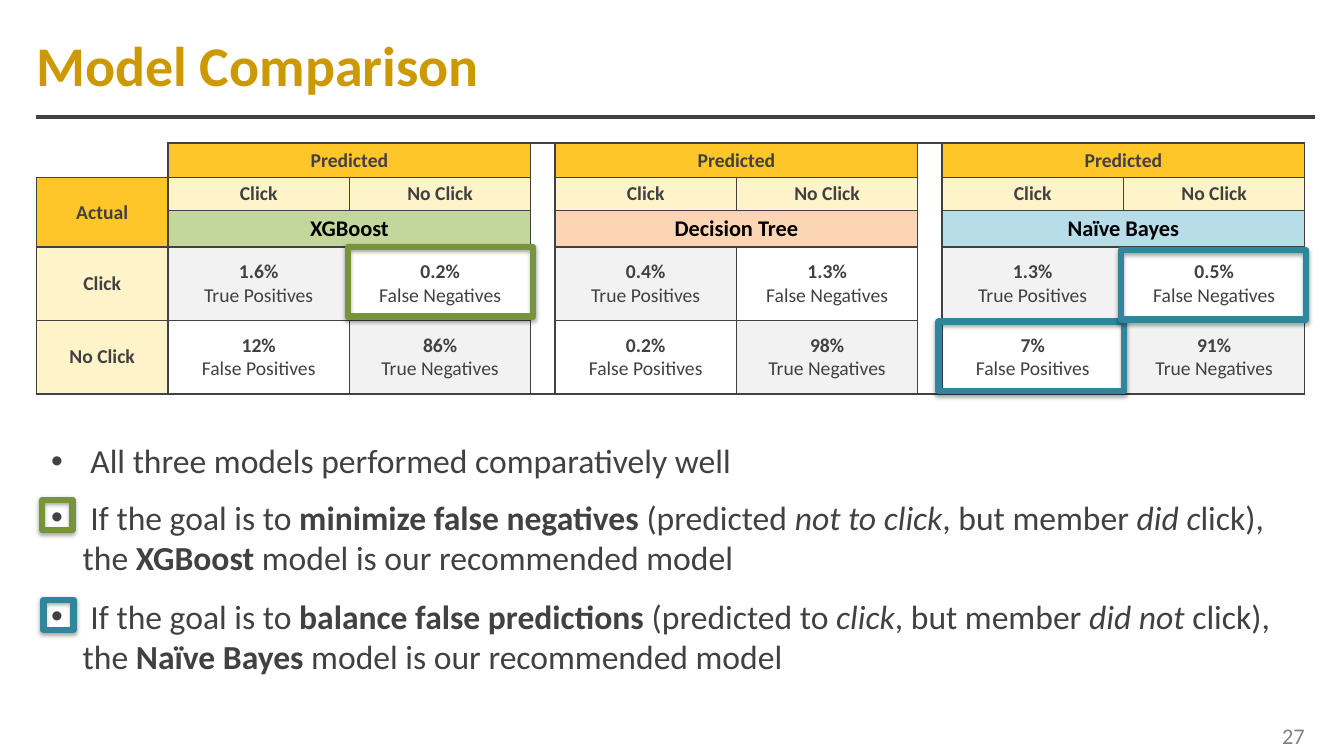
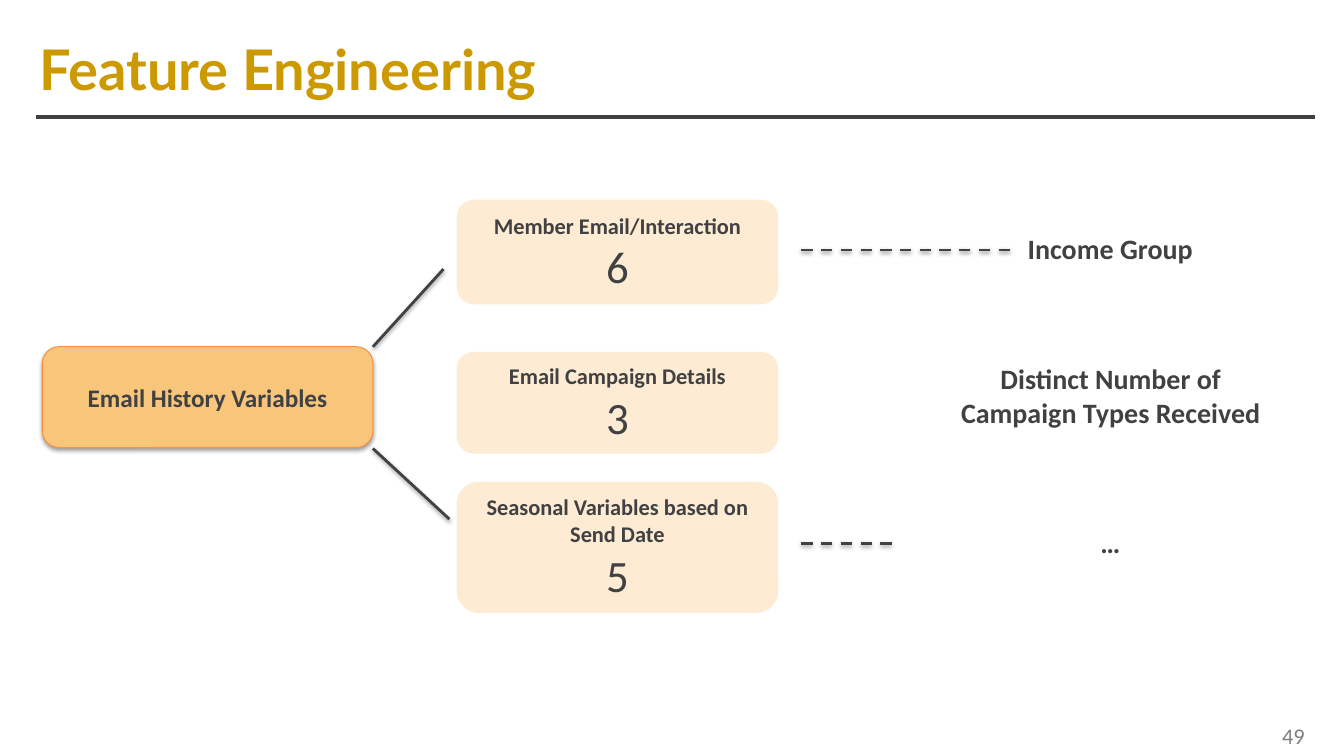
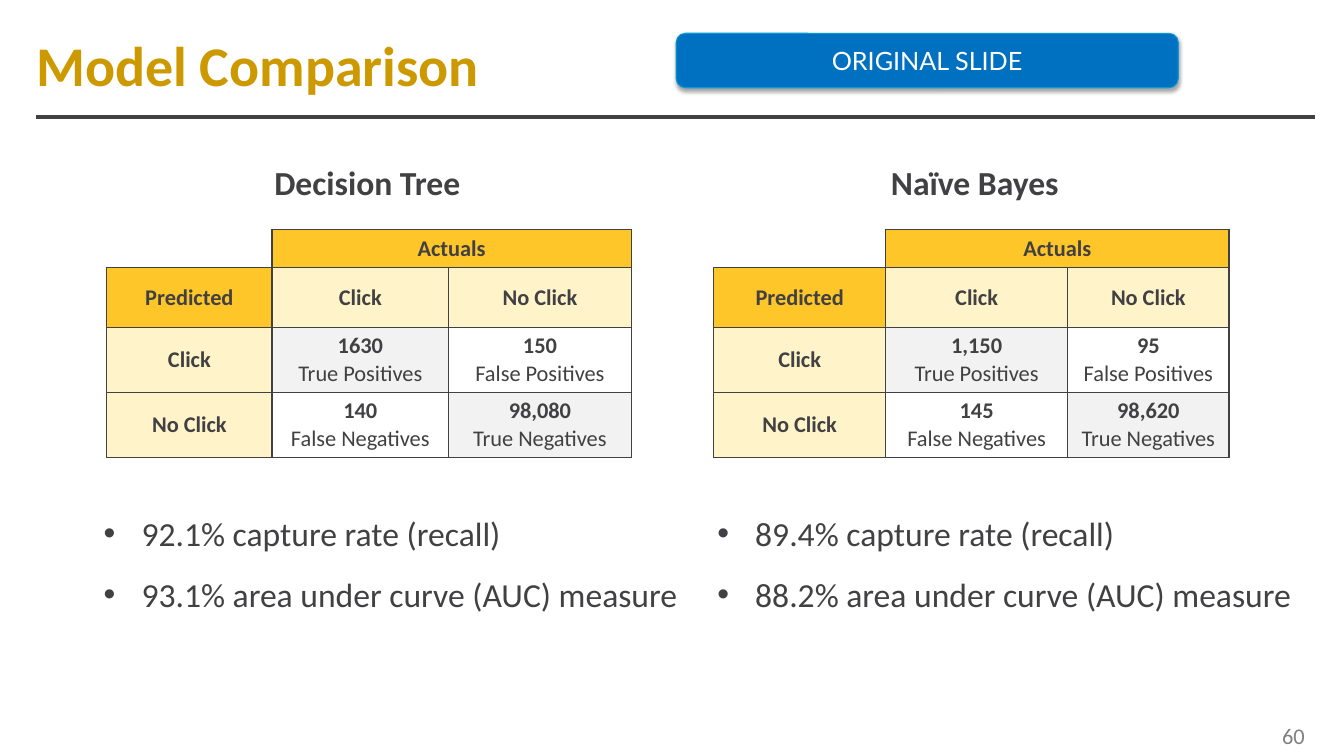
from typing import NamedTuple

from lxml import etree
from pptx import Presentation
from pptx.dml.color import RGBColor
from pptx.enum.dml import MSO_LINE
from pptx.enum.shapes import MSO_CONNECTOR, MSO_SHAPE
from pptx.enum.text import MSO_ANCHOR, PP_ALIGN
from pptx.oxml.ns import qn
from pptx.util import Pt

INK = RGBColor(0x41, 0x40, 0x42)
BLACK = RGBColor(0x00, 0x00, 0x00)
WHITE = RGBColor(0xFF, 0xFF, 0xFF)
GRAY = RGBColor(0x80, 0x80, 0x80)
PALE = RGBColor(0xF2, 0xF2, 0xF2)
GOLD = RGBColor(0xCC, 0x99, 0x00)
AMBER = RGBColor(0xFF, 0xC6, 0x29)
CREAM = RGBColor(0xFF, 0xF4, 0xC9)
PEACH = RGBColor(0xFD, 0xEC, 0xD3)
HONEY = RGBColor(0xF8, 0xC6, 0x7A)
ORANGE = RGBColor(0xF6, 0x92, 0x40)
MOSS = RGBColor(0x77, 0x93, 0x3C)
TEAL = RGBColor(0x31, 0x85, 0x9C)
LIME = RGBColor(0xC3, 0xD6, 0x9B)
CORAL = RGBColor(0xFC, 0xD5, 0xB5)
SKY = RGBColor(0xB7, 0xDE, 0xE8)
BLUE = RGBColor(0x00, 0x70, 0xC0)
CYAN = RGBColor(0x0A, 0x9A, 0xD8)

LEFT, CENTER, RIGHT = PP_ALIGN.LEFT, PP_ALIGN.CENTER, PP_ALIGN.RIGHT
TOP, MIDDLE = MSO_ANCHOR.TOP, MSO_ANCHOR.MIDDLE
RECT, ROUND = MSO_SHAPE.RECTANGLE, MSO_SHAPE.ROUNDED_RECTANGLE
STRAIGHT, DASH = MSO_CONNECTOR.STRAIGHT, MSO_LINE.DASH

BODY, ACCENT = "Calibri", "Lato"


class Box(NamedTuple):
    left: float
    top: float
    width: float
    height: float


class Shade(NamedTuple):
    alpha: int
    drop: float


class Run(NamedTuple):
    text: str
    bold: bool = False
    slant: bool = False
    size: float | None = None


class Cell(NamedTuple):
    lines: tuple[Run, ...] = ()
    fill: RGBColor | None = None
    sides: str = "LRTB"
    wide: int = 1
    tall: int = 1
    size: float | None = None
    color: RGBColor = INK


class Link(NamedTuple):
    start: tuple[float, float]
    end: tuple[float, float]
    dashed: bool = False


class Model(NamedTuple):
    name: str
    fill: RGBColor
    rates: tuple[str, str, str, str]


class Panel(NamedTuple):
    name: str
    head: Box
    left: float
    cols: list[float]
    counts: tuple[str, str, str, str]
    list_box: Box
    facts: list[str]


DEEP, SOFT = Shade(35, 1.8), Shade(38, 1.6)


def write(frame, *paras, size=24, font=BODY, color=INK, bold=False, align=LEFT,
          anchor=TOP, hang=0, spacing=None, margin=None) -> None:
    """Fill a frame; each paragraph is a string or a list of runs."""
    frame.word_wrap = True
    frame.vertical_anchor = anchor
    if margin is not None:
        frame.margin_left = frame.margin_right = Pt(margin)
        frame.margin_top = frame.margin_bottom = Pt(margin)
    for i, para in enumerate(paras):
        line = frame.add_paragraph() if i else frame.paragraphs[0]
        line.alignment = align
        if spacing:
            line.line_spacing = spacing
        if hang:
            props = line._p.get_or_add_pPr()
            props.set("marL", str(Pt(hang)))
            props.set("indent", str(-Pt(hang)))
            etree.SubElement(props, qn("a:buFont"), typeface="Arial")
            etree.SubElement(props, qn("a:buChar"), char="•")
        for part in [Run(para, bold)] if isinstance(para, str) else para:
            run = line.add_run()
            run.text = part.text
            run.font.name = font
            run.font.size = Pt(part.size or size)
            run.font.bold = part.bold
            run.font.italic = part.slant
            run.font.color.rgb = color


def cast(shape, shade: Shade | None) -> None:
    """Give a shape its own shadow, or none; call after fill and line are set."""
    effects = etree.SubElement(shape._element.spPr, qn("a:effectLst"))
    if shade:
        outer = etree.SubElement(
            effects, qn("a:outerShdw"), blurRad=str(Pt(3.1)), dist=str(Pt(shade.drop)),
            dir="5400000", rotWithShape="0")
        tint = etree.SubElement(outer, qn("a:srgbClr"), val=str(BLACK))
        etree.SubElement(tint, qn("a:alpha"), val=str(shade.alpha * 1000))


def note(slide, box: Box, *paras, **style) -> None:
    """Add a text box."""
    write(slide.shapes.add_textbox(*map(Pt, box)).text_frame, *paras, **style)


def block(slide, kind, box: Box, *paras, fill: RGBColor | None = None,
          line: RGBColor | None = None, weight: float = 0.75,
          shade: Shade | None = None, **style) -> None:
    """Add a preset shape with centred text."""
    shape = slide.shapes.add_shape(kind, *map(Pt, box))
    if fill is None:
        shape.fill.background()
    else:
        shape.fill.solid()
        shape.fill.fore_color.rgb = fill
    if line is None:
        shape.line.fill.background()
    else:
        shape.line.color.rgb = line
        shape.line.width = Pt(weight)
    cast(shape, shade)
    if paras:
        write(shape.text_frame, *paras, align=CENTER, anchor=MIDDLE, **style)


def join(slide, link: Link, weight: float = 2, shade: Shade | None = None) -> None:
    """Draw a straight line."""
    line = slide.shapes.add_connector(STRAIGHT, *map(Pt, link.start + link.end))
    line.line.color.rgb = INK
    line.line.width = Pt(weight)
    if link.dashed:
        line.line.dash_style = DASH
    cast(line, shade)


def edge(cell, sides: str) -> None:
    """Rule the named sides of a cell and clear the others."""
    props = cell._tc.get_or_add_tcPr()
    for side in "LRTB":
        line = etree.SubElement(props, qn(f"a:ln{side}"), w=str(Pt(1)))
        if side in sides:
            fill = etree.SubElement(line, qn("a:solidFill"))
            etree.SubElement(fill, qn("a:srgbClr"), val=str(INK))
        else:
            etree.SubElement(line, qn("a:noFill"))


def grid(slide, left: float, top: float, cols: list[float], rows: list[float],
         cells: list[list[Cell]], size: float) -> None:
    """Add a table; cells under a merged one are blank cells."""
    box = Box(left, top, sum(cols), sum(rows))
    table = slide.shapes.add_table(len(rows), len(cols), *map(Pt, box)).table
    table.first_row = table.horz_banding = False
    for col, width in zip(table.columns, cols):
        col.width = Pt(width)
    for row, height in zip(table.rows, rows):
        row.height = Pt(height)
    for r, line in enumerate(cells):
        for c, item in enumerate(line):
            cell = table.cell(r, c)
            edge(cell, item.sides)
            cell.margin_top = cell.margin_bottom = 0
            cell.vertical_anchor = MIDDLE
            if item.fill is None:
                cell.fill.background()
            else:
                cell.fill.solid()
                cell.fill.fore_color.rgb = item.fill
            if item.lines:
                write(cell.text_frame, *([run] for run in item.lines), align=CENTER,
                      anchor=MIDDLE, size=item.size or size, color=item.color)
            if item.wide > 1 or item.tall > 1:
                cell.merge(table.cell(r + item.tall - 1, c + item.wide - 1))


def head(text: str, fill: RGBColor = CREAM, **more) -> Cell:
    return Cell((Run(text, bold=True),), fill, **more)


def rate(value: str, label: str) -> Cell:
    """A result cell, tinted when the prediction was true."""
    return Cell((Run(value, bold=True), Run(label)),
                PALE if label.startswith("True") else None)


def start(deck, title: str, number: int, font: str = BODY,
          left: float = 26, top: float = 16):
    """Add a slide with its rule, title and page number."""
    slide = deck.slides.add_slide(deck.slide_layouts[6])
    join(slide, Link((26, 83.4), (939, 83.4)), weight=3)
    note(slide, Box(left, top, 805, 59), title, size=40, font=font, color=GOLD,
         bold=True, anchor=MIDDLE, margin=0)
    note(slide, Box(688, 511, 251, 29), str(number), size=16, color=GRAY,
         align=RIGHT, anchor=MIDDLE)
    return slide


CORNER, COVER = Cell(sides="RB"), Cell()

MODELS = [
    Model("XGBoost", LIME, ("1.6%", "0.2%", "12%", "86%")),
    Model("Decision Tree", CORAL, ("0.4%", "1.3%", "0.2%", "98%")),
    Model("Naïve Bayes", SKY, ("1.3%", "0.5%", "7%", "91%")),
]
POINTS = [
    (Box(29.5, 311, 903.6, 36), [Run(" All three models performed comparatively well")]),
    (Box(29.5, 351.4, 883.4, 65.5), [
        Run(" If the goal is to "), Run("minimize false negatives ", bold=True),
        Run("(predicted "), Run("not to click", slant=True), Run(", but member "),
        Run("did c", slant=True), Run("lick), the "), Run("XGBoost", bold=True),
        Run(" model is our recommended model")]),
    (Box(29.5, 422, 895.7, 65.5), [
        Run(" If the goal is to "), Run("balance false predictions ", bold=True),
        Run("(predicted to "), Run("click", slant=True), Run(", but member "),
        Run("did not", slant=True), Run(" click), the "),
        Run("Naïve Bayes ", bold=True), Run("model is our recommended model")]),
]
MARKS = [
    (Box(670.3, 229.7, 132.5, 49.7), TEAL),
    (Box(248.4, 176.4, 132.5, 49.7), MOSS),
    (Box(800.6, 178.6, 132.5, 49.7), TEAL),
    (Box(30.2, 357, 21.6, 21.6), MOSS),
    (Box(31, 428.4, 21.6, 21.6), TEAL),
]


def models(deck) -> None:
    slide = start(deck, "Model Comparison", 27)
    cells = [[CORNER], [head("Actual", AMBER, tall=2)], [COVER],
             [head("Click")], [head("No Click")]]
    for i, model in enumerate(MODELS):
        if i:
            for row, sides in zip(cells, ("LRT", "LR", "LR", "LR", "LRB")):
                row.append(Cell(sides=sides))
        tp, fn, fp, tn = model.rates
        cells[0] += [head("Predicted", AMBER, wide=2), COVER]
        cells[1] += [head("Click"), head("No Click")]
        cells[2] += [head(model.name, model.fill, wide=2, size=16, color=BLACK), COVER]
        cells[3] += [rate(tp, "True Positives"), rate(fn, "False Negatives")]
        cells[4] += [rate(fp, "False Positives"), rate(tn, "True Negatives")]
    pair, gap = [129.6] * 2, [17.1]
    grid(slide, 26, 102.2, [94] + pair + (gap + pair) * 2,
         [24.8, 23.2, 26.3, 52.5, 52.5], cells, size=14)
    for box, runs in POINTS:
        note(slide, box, runs, hang=22.5)
    for box, color in MARKS:
        block(slide, RECT, box, line=color, weight=4.5, shade=DEEP)


CARDS = [
    (142.6, 74.9, "Member Email/Interaction", "6"),
    (251.3, 72.7, "Email Campaign Details", "3"),
    (344.2, 93.6, "Seasonal Variables based on Send Date", "5"),
]
NAMES = [
    (Box(678.2, 159.8, 229.7, 34.6), "Income Group"),
    (Box(663.1, 251.3, 260.6, 61.9), "Distinct Number of Campaign Types Received"),
    (Box(678.2, 370, 229.7, 34.6), "…"),
]
LINKS = [
    Link((266.4, 247.7), (316.8, 192.2)),
    Link((321, 370.8), (266.4, 320.4)),
    Link((572.4, 178.6), (723.6, 178.6), dashed=True),
    Link((572.4, 388), (637.2, 388), dashed=True),
]


def features(deck) -> None:
    slide = start(deck, "Feature Engineering", 49, font=ACCENT, left=28, top=19)
    block(slide, ROUND, Box(30.2, 247.7, 236.2, 72), "Email History Variables",
          fill=HONEY, line=ORANGE, shade=SOFT, size=18, bold=True)
    for top, height, name, count in CARDS:
        block(slide, ROUND, Box(326.2, top, 229.7, height),
              [Run(name, bold=True)], [Run(count, size=32)], fill=PEACH, size=16)
    for link in LINKS:
        join(slide, link, shade=SOFT)
    for box, name in NAMES:
        block(slide, ROUND, box, name, size=20, bold=True)


PANELS = [
    Panel("Decision Tree", Box(76.3, 98, 372.2, 46), 76.3, [118, 126.2, 130.4],
          ("1630", "150", "140", "98,080"), Box(67, 348.5, 430.6, 90),
          ["92.1% capture rate (recall)", "93.1% area under curve (AUC) measure"]),
    Panel("Naïve Bayes", Box(512, 98, 368.6, 46), 509.8, [122.8, 130, 115.3],
          ("1,150", "95", "145", "98,620"), Box(505.4, 348.5, 439.2, 90),
          ["89.4% capture rate (recall)", "88.2% area under curve (AUC) measure"]),
]


def panels(deck) -> None:
    slide = start(deck, "Model Comparison", 60)
    for panel in PANELS:
        tp, fp, fn, tn = panel.counts
        cells = [
            [CORNER, head("Actuals", AMBER, wide=2), COVER],
            [head("Predicted", AMBER), head("Click"), head("No Click")],
            [head("Click"), rate(tp, "True Positives"), rate(fp, "False Positives")],
            [head("No Click"), rate(fn, "False Negatives"), rate(tn, "True Negatives")],
        ]
        grid(slide, panel.left, 164, panel.cols, [27.1, 42.9, 46.3, 46.3], cells, size=16)
        note(slide, panel.head, panel.name, bold=True, align=CENTER, spacing=1.5)
        note(slide, panel.list_box, *panel.facts, hang=27, spacing=1.5)
    block(slide, ROUND, Box(483, 23.8, 358.6, 38.9), "ORIGINAL SLIDE", fill=BLUE,
          line=CYAN, shade=DEEP, size=18, font=ACCENT, color=WHITE)


def main() -> None:
    deck = Presentation()
    deck.slide_width, deck.slide_height = Pt(960), Pt(540)
    models(deck)
    features(deck)
    panels(deck)
    deck.save("out.pptx")


if __name__ == "__main__":
    main()
